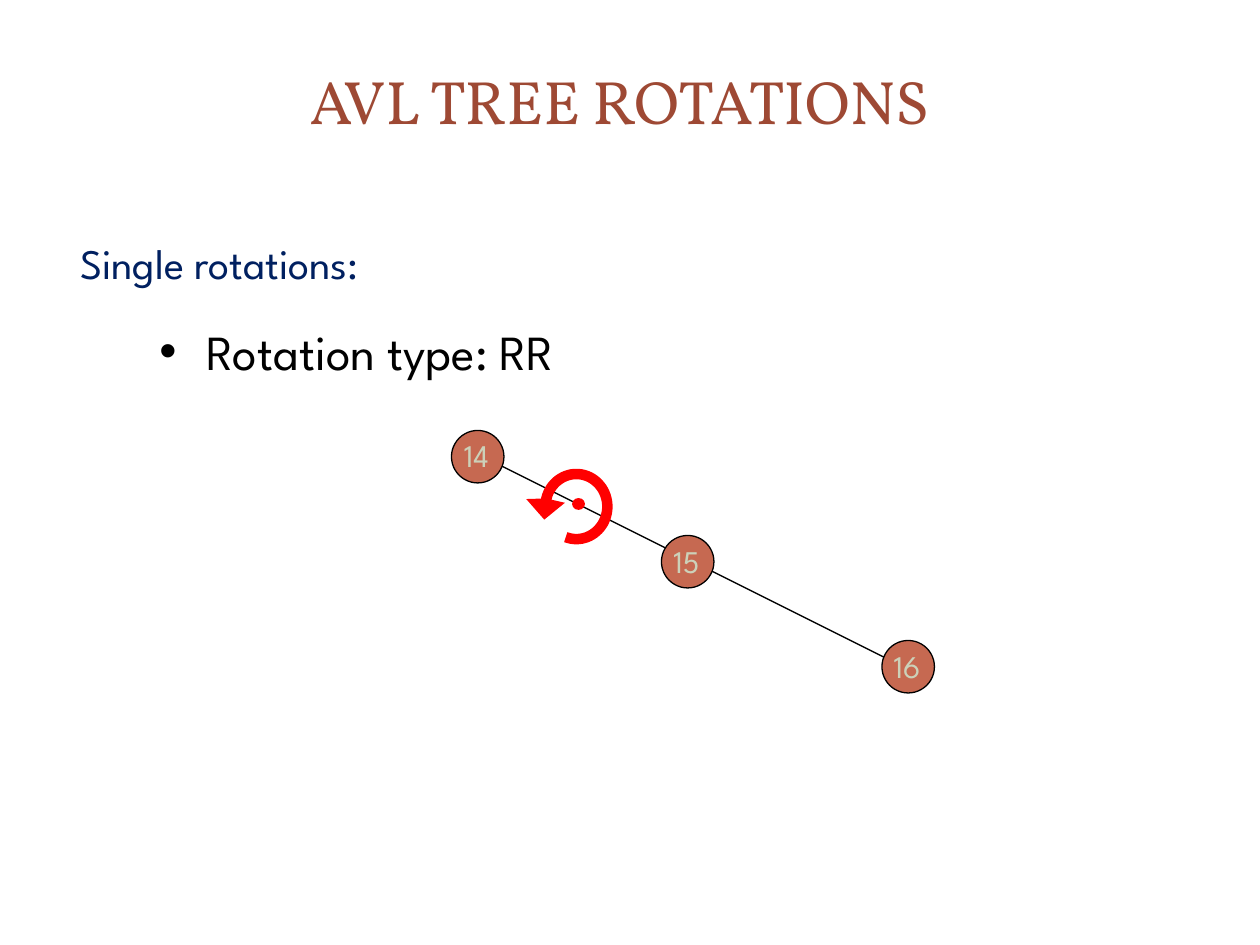
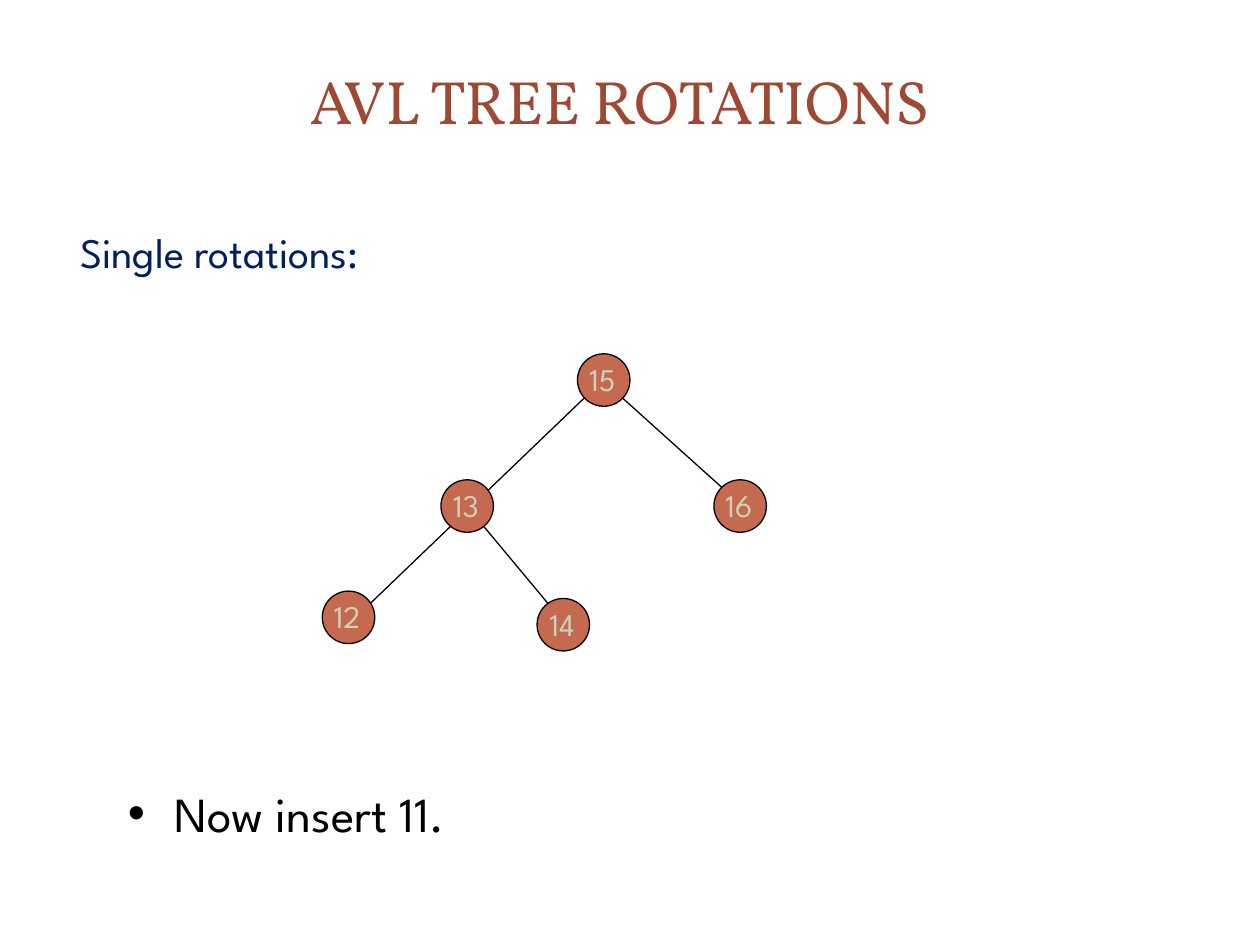
import math
from dataclasses import dataclass

from lxml import etree
from pptx import Presentation
from pptx import util as u
from pptx.dml.color import RGBColor
from pptx.enum import shapes, text
from pptx.oxml.ns import qn


@dataclass(frozen=True)
class Theme:
    title_font: str = "Vollkorn"
    body_font: str = "League Spartan"
    bullet_font: str = "Arial"
    panel: str = "FFFFFF"
    title: str = "9E4934"
    heading: str = "002060"
    ink: str = "000000"
    node: str = "C66951"
    label: str = "CCD1B9"
    rotation: str = "FF0000"
    title_size: int = 35
    heading_size: int = 24
    bullet_size: int = 28
    label_size: int = 18
    line: float = 0.75
    rotation_line: float = 6


T = Theme()
COLS, ROWS = 120, 90  # square grid cells, twelve to the inch
CELL = u.Inches(10) / COLS
NODE = 5


def cells(*lengths):
    return [u.Emu(round(n * CELL)) for n in lengths]


def rgb(color):
    return RGBColor.from_string(color)


def place(sp, *box):
    sp.left, sp.top, sp.width, sp.height = cells(*box)


def write(sp, words, *, font=T.body_font, size, color, align=text.PP_ALIGN.LEFT,
          anchor=text.MSO_ANCHOR.TOP, bullet=None, margin=0, indent=0):
    tf = sp.text_frame
    tf.word_wrap = True
    tf.vertical_anchor = anchor
    p = tf.paragraphs[0]
    p.alignment = align
    p.space_before = u.Pt(0)
    pPr = p._p.get_or_add_pPr()
    pPr.set("marL", str(u.Inches(margin)))
    pPr.set("indent", str(u.Inches(indent)))
    if bullet:
        etree.SubElement(pPr, qn("a:buFont")).set("typeface", T.bullet_font)
        etree.SubElement(pPr, qn("a:buChar")).set("char", bullet)
    else:
        etree.SubElement(pPr, qn("a:buNone"))
    r = p.add_run()
    r.text = words
    r.font.name, r.font.size = font, u.Pt(size)
    r.font.color.rgb = rgb(color)


def paint(sp, fill, line=None, width=T.line):
    sp.shadow.inherit = False
    sp.fill.solid()
    sp.fill.fore_color.rgb = rgb(fill)
    if line:
        sp.line.color.rgb = rgb(line)
        sp.line.width = u.Pt(width)
    else:
        sp.line.fill.background()


def add_panels(s):
    """Put the page and title panels on the slide's layout, behind its text."""
    panels = [(shapes.MSO_SHAPE.ROUNDED_RECTANGLE, (1.2, 1.3, 117.6, 87.5)),
              (shapes.MSO_SHAPE.RECTANGLE, (3.6, 3.6, 112.8, 17.4)),
              (shapes.MSO_SHAPE.RECTANGLE, (4.9, 4.9, 110, 14.7))]
    made = [s.shapes.add_shape(kind, *cells(*box)) for kind, box in panels]
    page, band, _ = made
    page.adjustments[0] = 0.02
    for i, sp in enumerate(made):
        paint(sp, T.panel)
        s.slide_layout.shapes._spTree.insert(2 + i, sp._element)
    color = band._element.spPr.find(qn("a:solidFill"))[0]
    etree.SubElement(color, qn("a:alpha")).set("val", "83000")


def add_ellipse(parent, x, y, w, h, fill, line):
    """Add an ellipse centred on the grid point (x, y)."""
    sp = parent.add_shape(shapes.MSO_SHAPE.OVAL, *cells(x - w / 2, y - h / 2, w, h))
    paint(sp, fill, line)
    return sp


def add_edge(s, *ends):
    line = s.shapes.add_connector(shapes.MSO_CONNECTOR.STRAIGHT, *cells(*ends))
    line.line.color.rgb = rgb(T.ink)
    line.line.width = u.Pt(T.line)
    etree.SubElement(line._element.spPr, qn("a:effectLst"))


def add_tree(s, nodes, edges):
    """Draw the edges, then the nodes over them; an edge may run through a node."""
    for ends in edges:
        add_edge(s, *ends)
    for key, (x, y) in nodes.items():
        sp = add_ellipse(s.shapes, x, y, NODE, NODE, T.node, T.ink)
        tf = sp.text_frame
        tf.margin_left = tf.margin_top = 0
        tf.margin_right = tf.margin_bottom = u.Inches(0.02)
        write(sp, str(key), size=T.label_size, color=T.label,
              align=text.PP_ALIGN.CENTER, anchor=text.MSO_ANCHOR.MIDDLE)


def add_rotation_arrow(s, x, y):
    """Add a counterclockwise arrow around a pivot dot."""
    rx, ry = 2.95, 3.1
    arc = [(x + rx * math.cos(math.radians(a)), y + ry * math.sin(math.radians(a)))
           for a in range(110, -176, -5)]
    head = [(x - 3.7, y - 0.25), (x - 3, y + 0.55), (x - 2.2, y - 0.1)]
    outline = [cells(*pt) for pt in arc + head + arc[::-1]]
    group = s.shapes.add_group_shape()
    pen = group.shapes.build_freeform(*outline[0])
    pen.add_line_segments(outline[1:], close=True)
    arrow = pen.convert_to_shape()
    paint(arrow, T.rotation, T.rotation, T.rotation_line)
    miter = etree.SubElement(arrow.line._get_or_add_ln(), qn("a:miter"))
    miter.set("lim", "800000")
    add_ellipse(group.shapes, x + 0.2, y - 0.25, 1.1, 1, T.rotation, T.rotation)


def add_bullet(s, words, *box):
    sp = s.shapes.add_textbox(*cells(*box))
    write(sp, words, size=T.bullet_size, color=T.ink,
          bullet="•", margin=0.37, indent=-0.37)


def add_slide(prs, heading_row):
    s = prs.slides.add_slide(prs.slide_layouts[1])
    title, body = s.placeholders
    place(title, 8, 2, 102, 15)
    write(title, "AVL TREE ROTATIONS", font=T.title_font, size=T.title_size,
          color=T.title, align=text.PP_ALIGN.CENTER, anchor=text.MSO_ANCHOR.MIDDLE)
    place(body, 5, heading_row, 112, 8)
    write(body, "Single rotations:", size=T.heading_size, color=T.heading,
          margin=0.37, indent=-0.25)
    return s


def main():
    prs = Presentation()
    prs.slide_width, prs.slide_height = cells(COLS, ROWS)

    s = add_slide(prs, heading_row=22)
    add_panels(s)
    add_bullet(s, "Rotation type: RR", 14, 30, 98, 8)
    add_tree(s, {14: (45.5, 43.5), 15: (65.5, 53.5), 16: (86.5, 63.5)},
             [(45, 43, 87, 64)])
    add_rotation_arrow(s, 54.9, 48.25)

    s = add_slide(prs, heading_row=21)
    add_tree(s, {13: (44.5, 48.2), 15: (57.5, 36.2), 16: (70.5, 48.2),
                 12: (33.2, 58.8), 14: (53.65, 59.5)},
             [(44, 47.65, 54, 59.65), (33, 59.65, 58, 35.65), (59, 37.65, 69, 46.65)])
    add_bullet(s, "Now insert 11.", 11, 74, 66, 8)

    prs.save("out.pptx")


if __name__ == "__main__":
    main()
